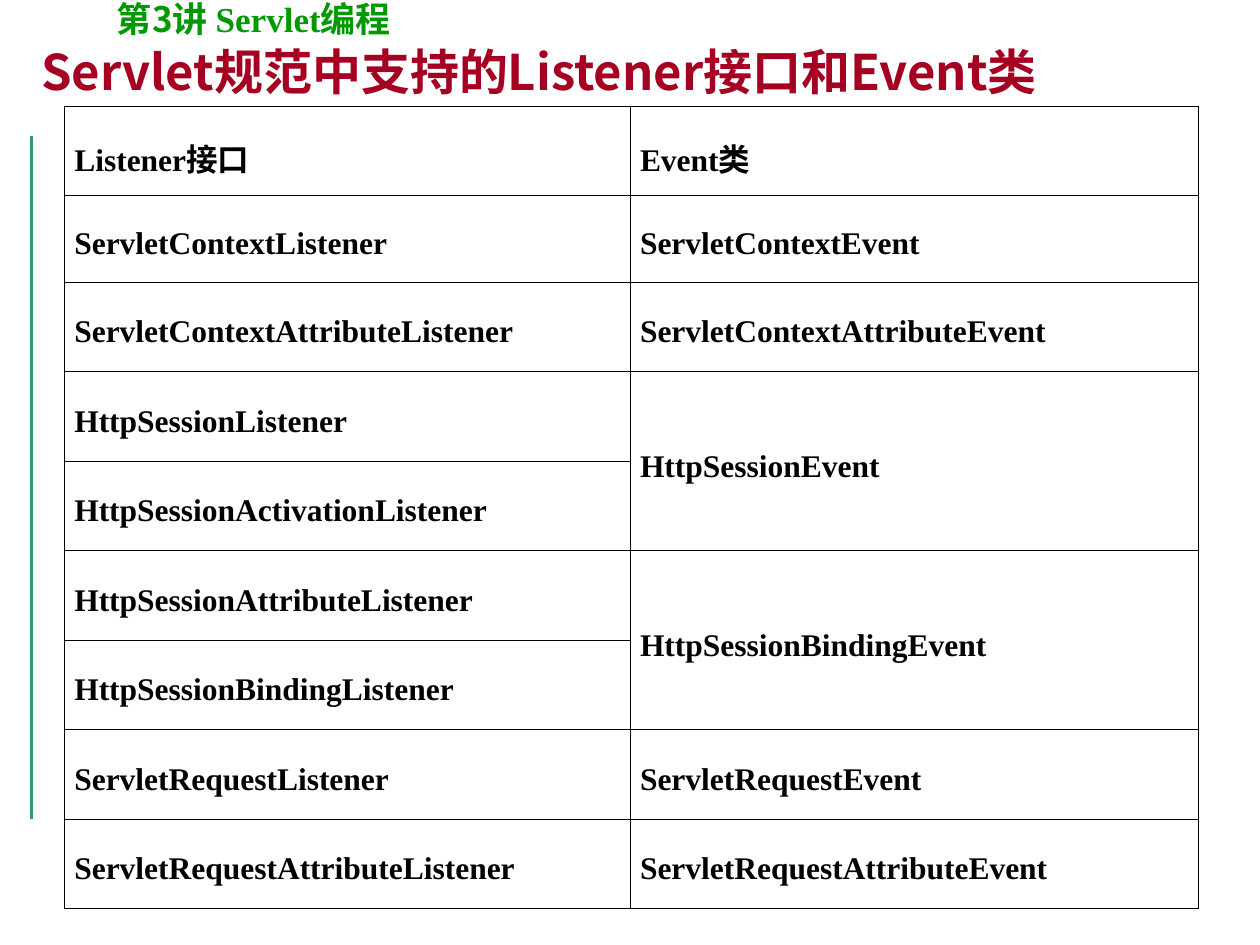
from dataclasses import dataclass
from typing import NamedTuple

from lxml.etree import SubElement
from pptx import Presentation
from pptx.dml.color import RGBColor
from pptx.enum.shapes import MSO_CONNECTOR
from pptx.enum.text import MSO_ANCHOR
from pptx.oxml.ns import qn
from pptx.util import Emu, Inches, Pt


@dataclass(frozen=True)
class Theme:
    title: str = "A50021"
    header: str = "009900"
    rule: str = "339966"
    ink: str = "000000"
    serif: str = "Times New Roman"
    sans: str = "Noto Sans CJK SC"
    title_size: float = 28
    header_size: float = 20
    cell_size: float = 18
    rule_width: float = 2.25
    border_width: float = 0.45


class Box(NamedTuple):
    """Position and size in percent of the slide."""
    left: float
    top: float
    width: float
    height: float


class Row(NamedTuple):
    listener: str
    event: str
    span: int = 1  # rows that the event cell covers; 0 if covered from above


THEME = Theme()
COLUMNS = (44.9, 45.1)
ROW_HEIGHT, SHORT_ROW_HEIGHT = 9.47, 9.2
SHORT_ROW = 1
ROWS = (
    Row("Listener接口", "Event类"),
    Row("ServletContextListener", "ServletContextEvent"),
    Row("ServletContextAttributeListener", "ServletContextAttributeEvent"),
    Row("HttpSessionListener", "HttpSessionEvent", 2),
    Row("HttpSessionActivationListener", "", 0),
    Row("HttpSessionAttributeListener", "HttpSessionBindingEvent", 2),
    Row("HttpSessionBindingListener", "", 0),
    Row("ServletRequestListener", "ServletRequestEvent"),
    Row("ServletRequestAttributeListener", "ServletRequestAttributeEvent"),
)

prs = Presentation()
prs.slide_width, prs.slide_height = Inches(10), Inches(7.5)


def across(percent: float) -> Emu:
    return Emu(round(prs.slide_width * percent / 100))


def down(percent: float) -> Emu:
    return Emu(round(prs.slide_height * percent / 100))


def place(box: Box) -> tuple[Emu, Emu, Emu, Emu]:
    return across(box.left), down(box.top), across(box.width), down(box.height)


def add_run(p, text: str, *, size: float, color: str, font: str = THEME.serif) -> None:
    r = p.add_run()
    r.text = text
    r.font.size, r.font.bold, r.font.name = Pt(size), True, font
    r.font.color.rgb = RGBColor.from_string(color)
    SubElement(r.font._element, qn("a:ea"), typeface=THEME.sans)


def add_text_box(s, box: Box, *, wrap: bool, anchor: MSO_ANCHOR):
    tf = s.shapes.add_textbox(*place(box)).text_frame
    tf.word_wrap, tf.vertical_anchor = wrap, anchor
    return tf.paragraphs[0]


def add_rule(s, x: float, top: float, bottom: float) -> None:
    line = s.shapes.add_connector(
        MSO_CONNECTOR.STRAIGHT, across(x), down(top), across(x), down(bottom))
    line.line.color.rgb = RGBColor.from_string(THEME.rule)
    line.line.width = Pt(THEME.rule_width)
    SubElement(line._element.spPr, qn("a:effectLst"))


def style_cell(cell) -> None:
    """Give the cell thin borders, no fill and its margins."""
    tcPr = cell._tc.get_or_add_tcPr()
    for side in ("lnL", "lnR", "lnT", "lnB"):
        ln = SubElement(tcPr, qn(f"a:{side}"), w=str(Pt(THEME.border_width)))
        fill = SubElement(ln, qn("a:solidFill"))
        SubElement(fill, qn("a:srgbClr"), val=THEME.ink)
    cell.fill.background()
    cell.vertical_anchor = MSO_ANCHOR.MIDDLE
    cell.margin_left = cell.margin_right = Inches(0.08)
    cell.margin_top = cell.margin_bottom = Inches(0.05)


def fill_cell(cell, text: str) -> None:
    p = cell.text_frame.paragraphs[0]
    p.line_spacing = 1.3
    add_run(p, text, size=THEME.cell_size, color=THEME.ink)


def add_listener_table(s, left: float, top: float) -> None:
    heights = [SHORT_ROW_HEIGHT if i == SHORT_ROW else ROW_HEIGHT
               for i in range(len(ROWS))]
    box = Box(left, top, sum(COLUMNS), sum(heights))
    table = s.shapes.add_table(len(ROWS), len(COLUMNS), *place(box)).table
    table.first_row = table.horz_banding = False
    for column, width in zip(table.columns, COLUMNS):
        column.width = across(width)
    for row, height in zip(table.rows, heights):
        row.height = down(height)
    for cell in table.iter_cells():
        style_cell(cell)
    for i, row in enumerate(ROWS):
        fill_cell(table.cell(i, 0), row.listener)
        if row.span:
            event = table.cell(i, 1)
            fill_cell(event, row.event)
            if row.span > 1:
                event.merge(table.cell(i + row.span - 1, 1))


def main() -> None:
    s = prs.slides.add_slide(prs.slide_layouts[6])
    add_rule(s, 2.5, 14.4, 86.67)

    p = add_text_box(s, Box(8.3, -0.93, 57.5, 5.87), wrap=True, anchor=MSO_ANCHOR.TOP)
    for text, font in (("第", THEME.serif), ("3", THEME.sans),
                       ("讲 Servlet编程", THEME.serif)):
        add_run(p, text, size=THEME.header_size, color=THEME.header, font=font)

    add_listener_table(s, 5.1, 11.2)

    p = add_text_box(s, Box(2.3, 3.73, 86.2, 7.6), wrap=False, anchor=MSO_ANCHOR.MIDDLE)
    add_run(p, "Servlet规范中支持的Listener接口和Event类",
            size=THEME.title_size, color=THEME.title, font=THEME.sans)

    prs.save("out.pptx")


if __name__ == "__main__":
    main()
